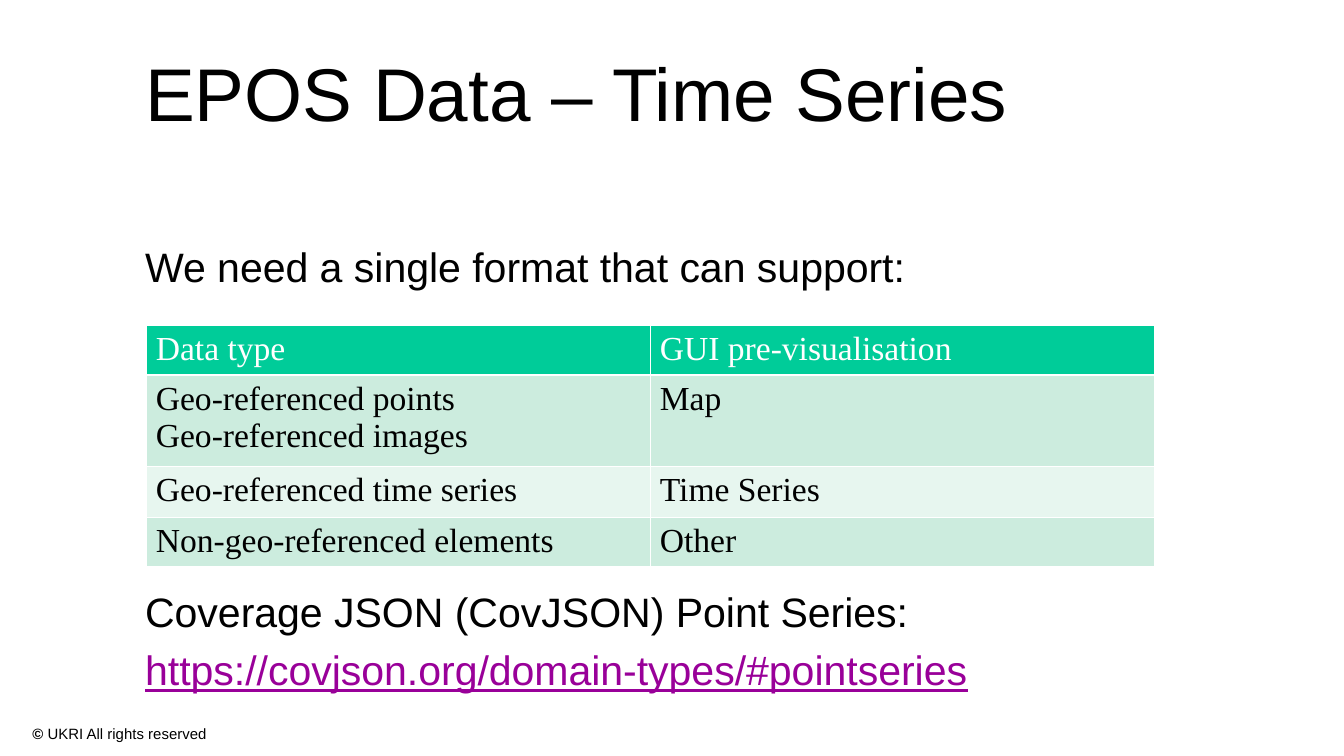
from lxml.etree import SubElement
from pptx import Presentation
from pptx.dml.color import RGBColor
from pptx.enum.text import MSO_ANCHOR, MSO_AUTO_SIZE, PP_ALIGN
from pptx.oxml.ns import qn
from pptx.util import Inches, Pt

COLORS = {
    "text": "000000",
    "link": "990099",
    "white": "FFFFFF",
    "header": "00CC99",
    "band_dark": "CCECDE",
    "band_light": "E7F6EF",
}
ROWS = [
    ("Data type", "GUI pre-visualisation"),
    ("Geo-referenced points\nGeo-referenced images", "Map"),
    ("Geo-referenced time series", "Time Series"),
    ("Non-geo-referenced elements", "Other"),
]
ROW_HEIGHTS = [0.37, 0.68, 0.38, 0.37]
# text, space before in points, extra format
BODY = [
    ("We need a single format that can support:", 0, {}),
    ("Coverage JSON (CovJSON) Point Series:", 158.4, {}),
    ("https://covjson.org/domain-types/#pointseries", 4.7,
     {"color": "link", "underline": True}),
]


def rgb(name):
    return RGBColor.from_string(COLORS[name])


def style_font(font, size, color="text", name="Arial", **options):
    values = {"size": Pt(size), "name": name, **options}
    for key, value in values.items():
        setattr(font, key, value)
    font.color.rgb = rgb(color)


def place(shape, left, top, width, height):
    shape.left, shape.top = Inches(left), Inches(top)
    shape.width, shape.height = Inches(width), Inches(height)


def format_frame(tf, anchor=MSO_ANCHOR.TOP, wrap=True):
    tf.auto_size = MSO_AUTO_SIZE.NONE
    tf.word_wrap = wrap
    tf.vertical_anchor = anchor


def remove_bullet(p):
    pPr = p._p.get_or_add_pPr()
    pPr.set("marL", "0")
    pPr.set("indent", "0")
    SubElement(pPr, qn("a:buNone"))


def add_title(s, text):
    title = s.shapes.title
    place(title, 0.98, 0.21, 9.02, 0.94)
    format_frame(title.text_frame, MSO_ANCHOR.MIDDLE)
    p = title.text_frame.paragraphs[0]
    p.text = text
    p.alignment = PP_ALIGN.LEFT
    style_font(p.runs[0].font, 40)


def add_body(s):
    body = s.placeholders[1]
    place(body, 0.98, 1.75, 7.64, 3.87)
    tf = body.text_frame
    format_frame(tf)
    for i, (text, space, options) in enumerate(BODY):
        p = tf.paragraphs[0] if i == 0 else tf.add_paragraph()
        remove_bullet(p)
        p.space_before = Pt(space)
        r = p.add_run()
        r.text = text
        style_font(r.font, 22, **options)


def set_borders(cell, color, width):
    tcPr = cell._tc.get_or_add_tcPr()
    for i, side in enumerate(("lnL", "lnR", "lnT", "lnB")):
        ln = tcPr.makeelement(qn(f"a:{side}"), {"w": str(Pt(width))})
        fill = SubElement(ln, qn("a:solidFill"))
        SubElement(fill, qn("a:srgbClr"), val=COLORS[color])
        tcPr.insert(i, ln)


def format_cell(cell, text, fill, color):
    margins = {"margin_left": 0.07, "margin_right": 0.07,
               "margin_top": 0.04, "margin_bottom": 0.04}
    for key, value in margins.items():
        setattr(cell, key, Inches(value))
    cell.fill.solid()
    cell.fill.fore_color.rgb = rgb(fill)
    set_borders(cell, "white", 1)
    cell.text_frame.text = text
    for p in cell.text_frame.paragraphs:
        p.alignment = PP_ALIGN.LEFT
        style_font(p.runs[0].font, 18, color, "Times New Roman", bold=False)


def add_data_table(s):
    table = s.shapes.add_table(
        len(ROWS), 2, Inches(1.09), Inches(2.42),
        Inches(7.5), Inches(sum(ROW_HEIGHTS))).table
    for i, (row, height) in enumerate(zip(ROWS, ROW_HEIGHTS)):
        table.rows[i].height = Inches(height)
        band = "band_dark" if i % 2 else "band_light"
        fill, color = (band, "text") if i else ("header", "white")
        for j, text in enumerate(row):
            format_cell(table.cell(i, j), text, fill, color)


def add_copyright(s):
    box = s.shapes.add_textbox(
        Inches(0.13), Inches(5.34), Inches(1.52), Inches(0.24))
    format_frame(box.text_frame, wrap=False)
    p = box.text_frame.paragraphs[0]
    p.alignment = PP_ALIGN.CENTER
    for text, bold in (("© ", True), ("UKRI All rights reserved", False)):
        r = p.add_run()
        r.text = text
        style_font(r.font, 8, bold=bold)


def main():
    prs = Presentation()
    prs.slide_width = Inches(10)
    prs.slide_height = prs.slide_width * 9 // 16
    s = prs.slides.add_slide(prs.slide_layouts[1])
    add_title(s, "EPOS Data – Time Series")
    add_body(s)
    add_data_table(s)
    add_copyright(s)
    prs.save("out.pptx")


if __name__ == "__main__":
    main()
